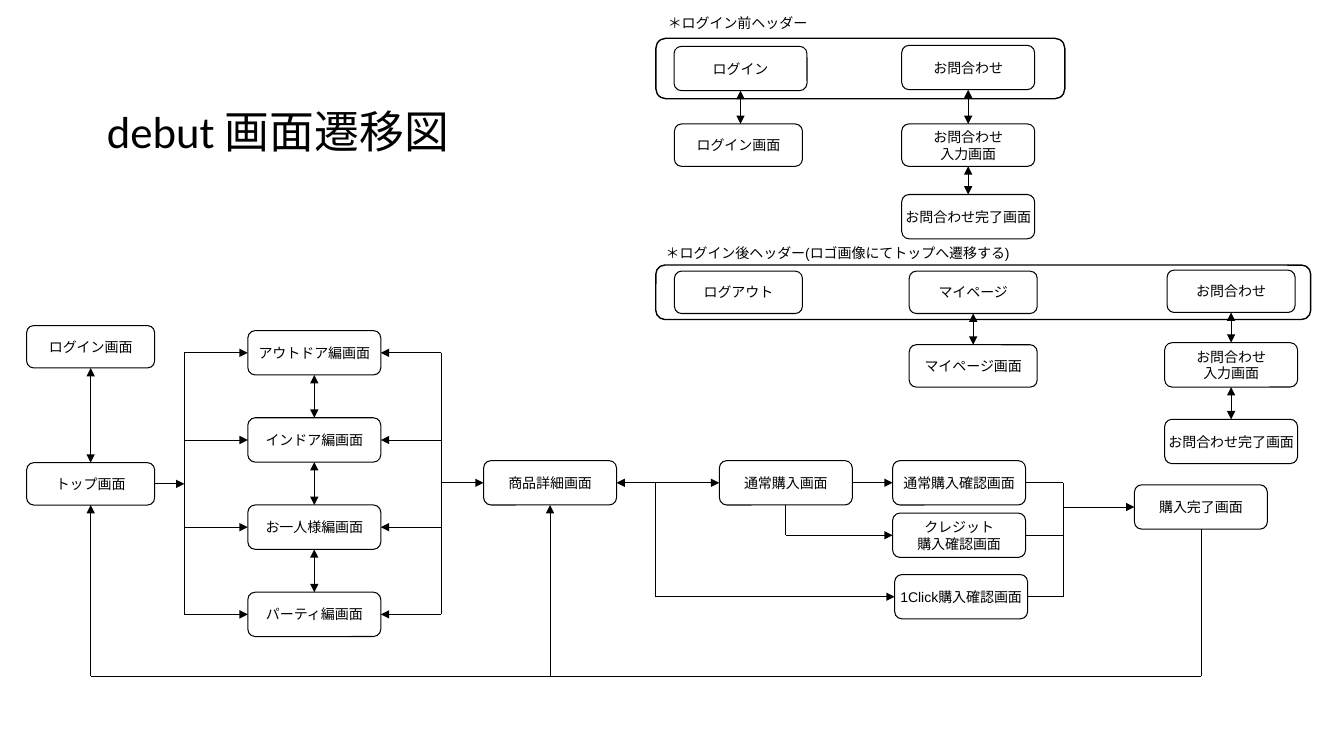
from lxml.etree import SubElement
from pptx import Presentation
from pptx.dml.color import RGBColor
from pptx.enum.lang import MSO_LANGUAGE_ID
from pptx.enum.shapes import MSO_CONNECTOR, MSO_SHAPE
from pptx.enum.text import MSO_ANCHOR, PP_ALIGN
from pptx.oxml.ns import qn
from pptx.util import Inches, Pt

# Content
TITLE = "debut 画面遷移図"
HEADERS = [  # label parts with fonts, label box, frame
    ([("＊ログイン前ヘッダー", "Calibri")], (6.53, 0.09, 2.54, 0.27), (6.51, 0.38, 4.06, 0.6)),
    ([("＊ログイン後ヘッダー", "Calibri"), ("(ロゴ画像にてトップへ遷移する)", "Arial")],
     (6.51, 2.38, 6.37, 0.27), (6.51, 2.63, 6.5, 0.54)),
]
WIDE, SMALL = (1.32, 0.44), (1.27, 0.42)
INK = "000000"

# Grid: column centres, row centres and the shared trunk lines
ENTRY, GENRE, DETAIL, BUY, CONFIRM, DONE = 0.9, 3.12, 5.46, 7.8, 9.52, 11.92
GUEST, CONTACT, MY_PAGE, MEMBER_CONTACT = 7.35, 9.61, 9.66, 12.22
MAIN_ROW, GENRE_TOP, GENRE_STEP = 4.79, 3.5, 0.865
SPLIT, MERGE, ORDER, FINISH, RETURN = 1.83, 4.38, 6.5, 10.55, 6.71
GENRES = ["アウトドア編画面", "インドア編画面", "お一人様編画面", "パーティ編画面"]
GENRE_ROWS = [GENRE_TOP + GENRE_STEP * i for i in range(len(GENRES))]

SCREENS = {  # key: text, centre x, centre y, size
    "guest login": ("ログイン", GUEST, 0.68, WIDE),
    "guest login screen": ("ログイン画面", 7.33, 1.44, SMALL),
    "guest contact": ("お問合わせ", CONTACT, 0.67, WIDE),
    "guest form": ("お問合わせ\n入力画面", CONTACT, 1.44, (1.32, 0.42)),
    "guest sent": ("お問合わせ完了画面", CONTACT, 2.15, WIDE),
    "logout": ("ログアウト", 7.33, 2.9, SMALL),
    "my page": ("マイページ", MY_PAGE, 2.9, SMALL),
    "my page screen": ("マイページ画面", MY_PAGE, 3.63, SMALL),
    "contact": ("お問合わせ", MEMBER_CONTACT, 2.89, SMALL),
    "form": ("お問合わせ\n入力画面", MEMBER_CONTACT, 3.62, WIDE),
    "sent": ("お問合わせ完了画面", MEMBER_CONTACT, 4.38, WIDE),
    "login": ("ログイン画面", ENTRY, 3.44, SMALL),
    "top": ("トップ画面", ENTRY, 4.8, SMALL),
    "detail": ("商品詳細画面", DETAIL, MAIN_ROW, WIDE),
    "buy": ("通常購入画面", BUY, MAIN_ROW, WIDE),
    "confirm": ("通常購入確認画面", CONFIRM, MAIN_ROW, WIDE),
    "credit": ("クレジット\n購入確認画面", CONFIRM, 5.31, WIDE),
    "one click": ("1Click購入確認画面", 9.54, 5.92, WIDE),
    "done": ("購入完了画面", DONE, 5.03, WIDE),
}
SCREENS.update({name: (name, GENRE, row, WIDE) for name, row in zip(GENRES, GENRE_ROWS)})
SCREEN_FONTS = {"guest contact": "Noto Sans CJK JP"}

# Links: an end is (screen key, side) or a point (x, y)
UP, LEFT, DOWN, RIGHT = range(4)
NONE, ONE, BOTH = (), ("tailEnd",), ("headEnd", "tailEnd")
LINKS = [  # start, end, arrowheads, weight
    (("guest login", DOWN), (GUEST, 1.23), BOTH, 0.75),
    (("guest contact", DOWN), ("guest form", UP), BOTH, 0.75),
    (("guest form", DOWN), ("guest sent", UP), BOTH, 0.5),
    (("my page", DOWN), ("my page screen", UP), BOTH, 0.75),
    (("contact", DOWN), ("form", UP), BOTH, 0.75),
    (("form", DOWN), ("sent", UP), BOTH, 0.5),
    (("login", DOWN), ("top", UP), BOTH, 0.75),
    (("top", RIGHT), (SPLIT, 4.8), ONE, 0.5),
    ((MERGE, MAIN_ROW), ("detail", LEFT), ONE, 0.5),
    ((ORDER, MAIN_ROW), ("detail", RIGHT), ONE, 0.5),
    ((ORDER, MAIN_ROW), ("buy", LEFT), ONE, 0.5),
    ((ORDER, MAIN_ROW), (ORDER, 5.92), NONE, 0.5),
    ((ORDER, 5.92), ("one click", LEFT), ONE, 0.5),
    (("buy", RIGHT), ("confirm", LEFT), ONE, 0.5),
    (("buy", DOWN), (BUY, 5.31), NONE, 0.5),
    ((BUY, 5.31), ("credit", LEFT), ONE, 0.5),
    ((FINISH, MAIN_ROW), (FINISH, 5.92), NONE, 0.5),
    ((FINISH, 5.03), ("done", LEFT), ONE, 0.5),
    (("done", DOWN), (DONE, RETURN), NONE, 0.5),
    ((DONE, RETURN), (ENTRY, RETURN), NONE, 0.5),
    ((ENTRY, RETURN), ("top", DOWN), ONE, 0.5),
    ((DETAIL, RETURN), ("detail", DOWN), ONE, 0.5),
]
LINKS += [((key, RIGHT), (FINISH, SCREENS[key][2]), NONE, 0.5)
          for key in ("confirm", "credit", "one click")]
LINKS += [((name, DOWN), (below, UP), BOTH, 0.5) for name, below in zip(GENRES, GENRES[1:])]
for trunk, side in ((SPLIT, LEFT), (MERGE, RIGHT)):
    LINKS.append(((trunk, GENRE_ROWS[0]), (trunk, GENRE_ROWS[-1]), NONE, 0.5))
    LINKS += [((trunk, row), (name, side), ONE, 0.5) for name, row in zip(GENRES, GENRE_ROWS)]


def color(value):
    return RGBColor.from_string(value)


def style_text(span, size, font):
    span.font.size, span.font.name = Pt(size), font
    span.font.color.rgb = color(INK)
    span.font.language_id = MSO_LANGUAGE_ID.JAPANESE


def add_box(page, bounds, weight):
    box = page.shapes.add_shape(MSO_SHAPE.FLOWCHART_ALTERNATE_PROCESS, *map(Inches, bounds))
    box.shadow.inherit = False
    box.fill.background()
    box.line.color.rgb, box.line.width = color(INK), Pt(weight)
    return box


def add_screen(page, key):
    text, x, y, (width, height) = SCREENS[key]
    box = add_box(page, (x - width / 2, y - height / 2, width, height), 0.75)
    frame = box.text_frame
    frame.text, frame.word_wrap = text, False
    frame.vertical_anchor = MSO_ANCHOR.MIDDLE
    for para in frame.paragraphs:
        para.alignment = PP_ALIGN.CENTER
        style_text(para.runs[0], 10, SCREEN_FONTS.get(key, "Arial"))
    return box


def add_link(page, boxes, start, end, heads, weight):
    points = [(0, 0) if stop[0] in boxes else stop for stop in (start, end)]
    link = page.shapes.add_connector(
        MSO_CONNECTOR.STRAIGHT, *(Inches(value) for point in points for value in point))
    for stop, join in ((start, link.begin_connect), (end, link.end_connect)):
        if stop[0] in boxes:
            join(boxes[stop[0]], stop[1])
    link.line.color.rgb, link.line.width = color(INK), Pt(weight)
    properties = link.element.spPr
    for head in heads:
        SubElement(properties.find(qn("a:ln")), qn("a:" + head), type="triangle")
    SubElement(properties, qn("a:effectLst"))


def main():
    deck = Presentation()
    deck.slide_width, deck.slide_height = Inches(13.34), Inches(7.5)
    page = deck.slides.add_slide(deck.slide_layouts[5])

    # Title
    title = page.shapes.title
    title.left, title.top, title.width, title.height = map(Inches, (0.96, 0.98, 4.12, 0.64))
    title.text_frame.text = TITLE
    title.text_frame.vertical_anchor = MSO_ANCHOR.TOP
    para = title.text_frame.paragraphs[0]
    para.alignment = PP_ALIGN.LEFT
    style_text(para.runs[0], 32, "Calibri")

    # Header frames and their labels
    for parts, label_bounds, frame_bounds in HEADERS:
        add_box(page, frame_bounds, 1)
        label = page.shapes.add_textbox(*map(Inches, label_bounds))
        label.text_frame.word_wrap = True
        for text, font in parts:
            span = label.text_frame.paragraphs[0].add_run()
            span.text = text
            style_text(span, 10, font)

    # Screens and the links between them
    boxes = {key: add_screen(page, key) for key in SCREENS}
    for link in LINKS:
        add_link(page, boxes, *link)
    deck.save("out.pptx")


if __name__ == "__main__":
    main()
